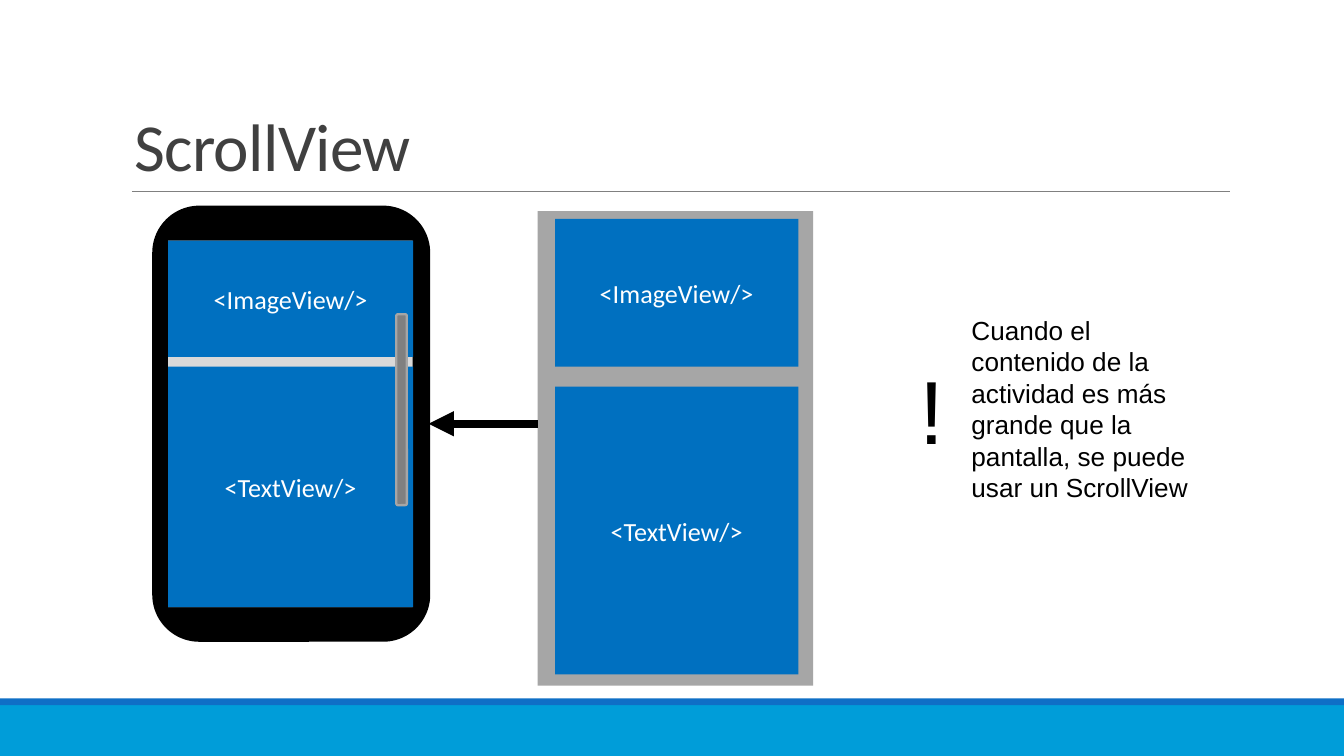
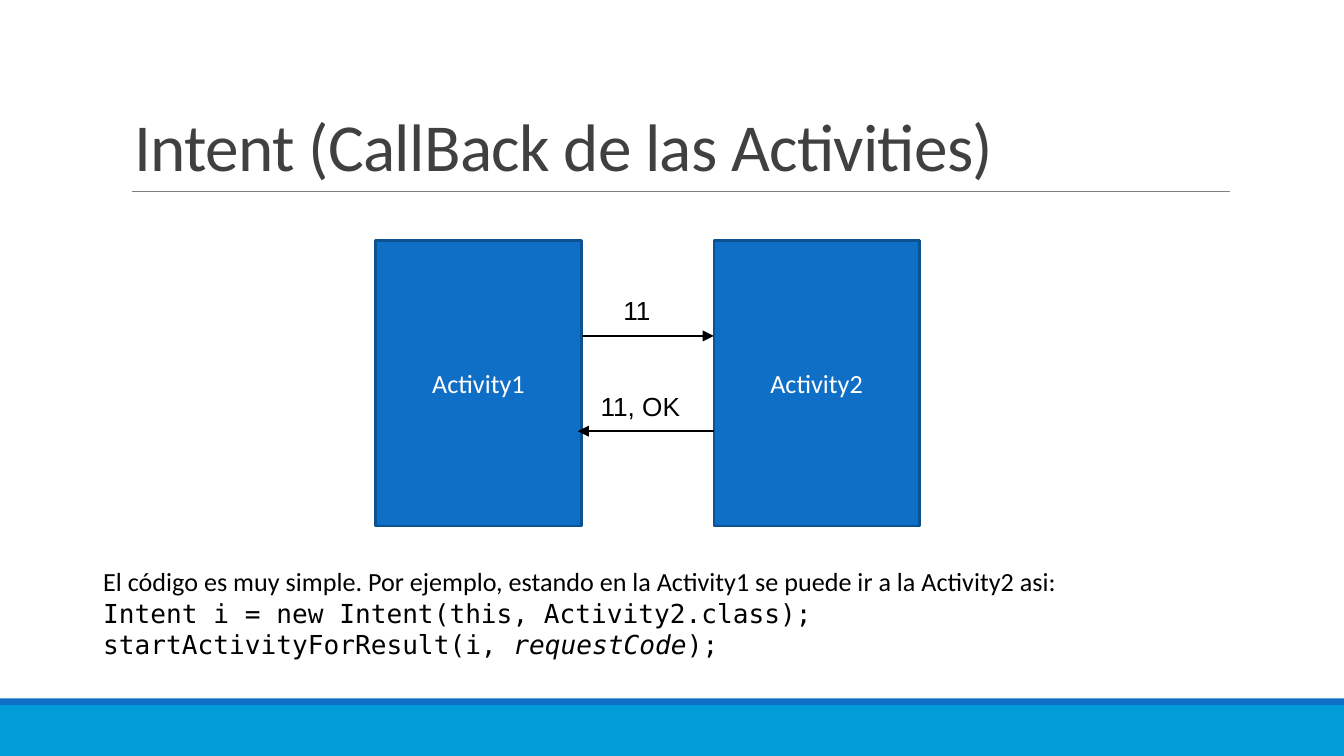
import pptx
import pptx.util
import pptx.dml.color
import pptx.enum.shapes
import pptx.enum.text
import pptx.oxml
import pptx.oxml.ns

Cm = pptx.util.Cm
Pt = pptx.util.Pt
RGB = pptx.dml.color.RGBColor
MSO = pptx.enum.shapes.MSO_SHAPE
ANCHOR = pptx.enum.text.MSO_ANCHOR
ALIGN = pptx.enum.text.PP_ALIGN

BLACK = RGB(0x00, 0x00, 0x00)
WHITE = RGB(0xFF, 0xFF, 0xFF)
CYAN = RGB(0x00, 0x9D, 0xD9)
BLUE = RGB(0x0F, 0x6F, 0xC6)
DARK_BLUE = RGB(0x0B, 0x52, 0x92)
VIEW_BLUE = RGB(0x00, 0x70, 0xC0)
TITLE_GREY = RGB(0x40, 0x40, 0x40)
GREY = RGB(0x80, 0x80, 0x80)
MID_GREY = RGB(0xA6, 0xA6, 0xA6)
LIGHT_GREY = RGB(0xD9, 0xD9, 0xD9)

TITLE_FONT = {"name": "Calibri", "size": Pt(36)}
LABEL_FONT = {"name": "Calibri", "size": Pt(14)}
NOTE_FONT = {"name": "Arial", "size": Pt(14)}
MARK_FONT = {"name": "Arial", "size": Pt(48)}
CODE_FONT = {"name": "DejaVu Sans Mono", "size": Pt(14)}
PARAM_FONT = {**CODE_FONT, "italic": True}


def add_box(s, at, fill=None, line=None, kind=MSO.RECTANGLE, paras=()):
    at = [Cm(v) for v in at]
    if fill is None:
        sp = s.shapes.add_textbox(*at)
    else:
        sp = s.shapes.add_shape(kind, *at)
        sp.shadow.inherit = False
        sp.fill.solid()
        sp.fill.fore_color.rgb = fill
        if line is None:
            sp.line.fill.background()
        else:
            sp.line.color.rgb = line
            sp.line.width = Pt(1.25)
    tf = sp.text_frame
    tf.word_wrap = True
    tf.vertical_anchor = ANCHOR.TOP if fill is None else ANCHOR.MIDDLE
    for i, runs in enumerate(paras):
        p = tf.add_paragraph() if i else tf.paragraphs[0]
        p.alignment = ALIGN.LEFT if fill is None else ALIGN.CENTER
        for text, fmt in runs:
            r = p.add_run()
            r.text = text
            for key, value in fmt.items():
                setattr(r.font, key, value)
            r.font.color.rgb = BLACK if fill is None else WHITE


def add_line(s, x1, x2, y, color, width, arrow=True):
    ln = s.shapes.add_connector(
        pptx.enum.shapes.MSO_CONNECTOR.STRAIGHT, Cm(x1), Cm(y), Cm(x2), Cm(y))
    ln.line.color.rgb = color
    ln.line.width = Pt(width)
    if arrow:
        tail = pptx.oxml.parse_xml(
            '<a:tailEnd %s type="triangle"/>' % pptx.oxml.ns.nsdecls("a"))
        ln.line._get_or_add_ln().append(tail)
    ln._element.spPr.append(
        pptx.oxml.parse_xml("<a:effectLst %s/>" % pptx.oxml.ns.nsdecls("a")))


prs = pptx.Presentation()
prs.slide_width = Cm(25.4)
prs.slide_height = Cm(14.29)

for title in ("ScrollView", "Intent (CallBack de las Activities)"):
    s = prs.slides.add_slide(prs.slide_layouts[5])
    add_box(s, (0, 13.33, 25.4, 0.96), CYAN)
    add_box(s, (0, 13.2, 25.4, 0.13), BLUE)
    add_line(s, 2.49, 23.24, 3.62, GREY, 0.5, arrow=False)
    sp = s.shapes.title
    sp.left, sp.top, sp.width, sp.height = Cm(2.29), Cm(0.61), Cm(20.96), Cm(3.02)
    tf = sp.text_frame
    tf.word_wrap = True
    tf.auto_size = pptx.enum.text.MSO_AUTO_SIZE.NONE
    tf.vertical_anchor = ANCHOR.BOTTOM
    p = tf.paragraphs[0]
    p.alignment = ALIGN.LEFT
    p.line_spacing = 0.85
    r = p.add_run()
    r.text = title
    for key, value in TITLE_FONT.items():
        setattr(r.font, key, value)
    r.font.color.rgb = TITLE_GREY
    r._r.get_or_add_rPr().set("spc", "-40")

scroll, intent = prs.slides

add_box(scroll, (2.9, 3.91, 5.21, 8.2), BLACK, BLACK, MSO.ROUNDED_RECTANGLE)
add_box(scroll, (3.18, 4.55, 4.62, 6.93), LIGHT_GREY)
add_box(scroll, (10.16, 3.99, 5.21, 8.97), MID_GREY)
for left, width, views in (
    (3.18, 4.63, (("<ImageView/>", 4.55, 2.2), ("<TextView/>", 6.93, 4.55))),
    (10.49, 4.6, (("<ImageView/>", 4.14, 2.79), ("<TextView/>", 7.31, 5.44))),
):
    for tag, top, height in views:
        add_box(scroll, (left, top, width, height), VIEW_BLUE,
                paras=[[(tag, LABEL_FONT)]])
add_box(scroll, (7.49, 5.94, 0.2, 3.61), GREY, MID_GREY, MSO.ROUNDED_RECTANGLE)
add_line(scroll, 10.16, 8.1, 8.01, BLACK, 4.5)
add_box(scroll, (18.11, 5.82, 5, 3.84), paras=[[(
    "Cuando el contenido de la actividad es más grande que la pantalla, "
    "se puede usar un ScrollView", NOTE_FONT)]])
add_box(scroll, (17.12, 6.58, 0.61, 2.31), paras=[[("!", MARK_FONT)]])

for name, left in (("Activity1", 7.1), ("Activity2", 13.49)):
    add_box(intent, (left, 4.55, 3.89, 5.4), BLUE, DARK_BLUE,
            paras=[[(name, LABEL_FONT)]])
for message, left, top, width, x1, x2, y in (
    ("11", 11.53, 5.44, 1.4, 11, 13.49, 6.35),
    ("11, OK", 11.1, 7.26, 2.26, 13.49, 10.92, 8.15),
):
    add_line(intent, x1, x2, y, BLACK, 1)
    add_box(intent, (left, top, width, 0.86), paras=[[(message, NOTE_FONT)]])
add_box(intent, (1.7, 10.57, 18.8, 2.06), paras=[
    [("El código es muy simple. Por ejemplo, estando en la Activity1 "
      "se puede ir a la Activity2 asi:", LABEL_FONT)],
    [("Intent i = new Intent(this, Activity2.class);", CODE_FONT)],
    [("startActivityForResult(i, ", CODE_FONT), ("requestCode", PARAM_FONT),
     (");", CODE_FONT)],
])

prs.save("out.pptx")
